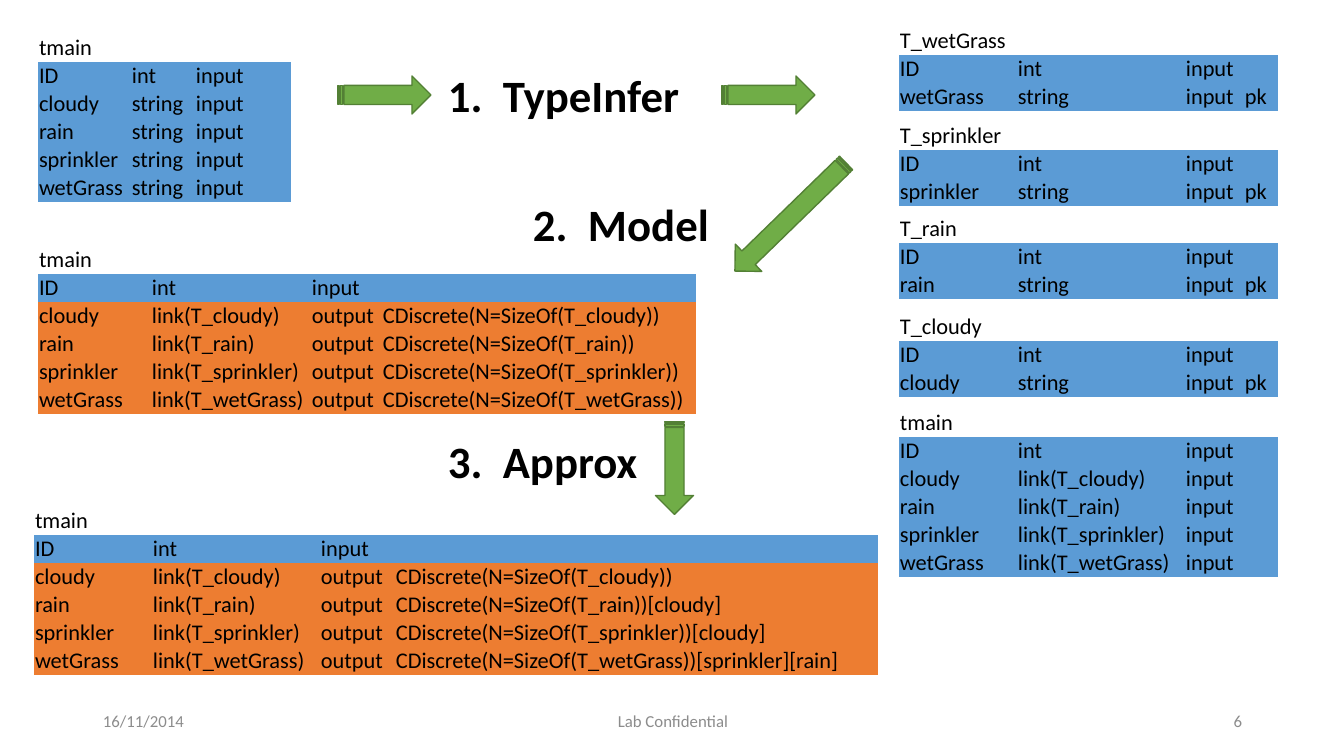
from pptx import Presentation
from pptx import util as u
from pptx.dml.color import RGBColor
from pptx.enum import shapes, text
from pptx.oxml.ns import qn
from lxml import etree

HUES = {"blue": "5B9BD5", "orange": "ED7D31", "green": "70AD47",
        "edge": "538035", "ink": "000000", "gray": "8C8C8C"}
FACE = "Calibri"
PLAIN = "{2D5ABB26-0587-4C30-8999-92F81FD0307C}"
ROW = 28
NAMES = ["cloudy", "rain", "sprinkler", "wetGrass"]
HEAD = ["ID", "int", "input"]


def px(n):
    return u.Emu(round(n * 914400 / 100.8))


def hue(name):
    return RGBColor.from_string(HUES[name])


def write(par, words, size, tint="ink", bold=False):
    run = par.add_run()
    run.text = words
    run.font.name = FACE
    run.font.size = u.Pt(size)
    run.font.bold = bold
    run.font.color.rgb = hue(tint)


def fill_cell(cell, words, tint):
    cell.margin_left = cell.margin_right = px(1)
    cell.margin_top = cell.margin_bottom = 0
    cell.vertical_anchor = text.MSO_ANCHOR.BOTTOM
    par = cell.text_frame.paragraphs[0]
    if words:
        write(par, words, 16)
    else:
        etree.SubElement(par._p, qn("a:endParaRPr"), sz="400")
    if tint:
        cell.fill.solid()
        cell.fill.fore_color.rgb = hue(tint)
    else:
        cell.fill.background()


def add_grid(slide, left, top, cols, rows):
    highs = [row if isinstance(row, int) else ROW for row in rows]
    frame = slide.shapes.add_table(len(rows), len(cols), px(left), px(top),
                                   px(sum(cols)), px(sum(highs)))
    grid = frame.table
    grid.first_row = grid.horz_banding = False
    grid._tbl.tblPr.find(qn("a:tableStyleId")).text = PLAIN
    for col, wide in zip(grid.columns, cols):
        col.width = px(wide)
    for r, row in enumerate(rows):
        grid.rows[r].height = px(highs[r])
        cells = [] if isinstance(row, int) else row
        tint = None
        if len(cells) > 1:
            tint = "orange" if "output" in cells else "blue"
        for c in range(len(cols)):
            fill_cell(grid.cell(r, c), cells[c] if c < len(cells) else "", tint)


def add_step(slide, box, num, words):
    frame = slide.shapes.add_textbox(*map(px, box)).text_frame
    frame.word_wrap = False
    frame.auto_size = text.MSO_AUTO_SIZE.SHAPE_TO_FIT_TEXT
    par = frame.paragraphs[0]
    write(par, words, 32, bold=True)
    props = par._p.get_or_add_pPr()
    props.set("marL", str(px(55)))
    props.set("indent", str(-px(55)))
    etree.SubElement(props, qn("a:buFont"), typeface="+mj-lt")
    etree.SubElement(props, qn("a:buAutoNum"), type="arabicPeriod", startAt=str(num))


def add_arrow(slide, left, top, wide, turn):
    arrow = slide.shapes.add_shape(shapes.MSO_SHAPE.STRIPED_RIGHT_ARROW,
                                   px(left), px(top), px(wide), px(38))
    arrow.rotation = turn
    arrow.shadow.inherit = False
    arrow.fill.solid()
    arrow.fill.fore_color.rgb = hue("green")
    arrow.line.color.rgb = hue("edge")
    arrow.line.width = u.Pt(1)


def add_foot(slide, left, wide, words, align):
    frame = slide.shapes.add_textbox(px(left), px(701), px(wide), px(40)).text_frame
    frame.word_wrap = True
    frame.vertical_anchor = text.MSO_ANCHOR.MIDDLE
    par = frame.paragraphs[0]
    par.alignment = align
    write(par, words, 12, "gray")


def link_rows(kind, tails):
    return [["tmain"], HEAD] + [
        [name, f"link(T_{name})", kind] + tail for name, tail in zip(NAMES, tails)]


def model_rows(marks):
    return link_rows("output", [[f"CDiscrete(N=SizeOf(T_{name})){mark}"]
                                for name, mark in zip(NAMES, marks)])


def typed_rows():
    rows = []
    for name, gap in zip(reversed(NAMES), [11, 9, 14, 12]):
        rows += [[f"T_{name}"], HEAD, [name, "string", "input", "pk"], gap]
    return rows + link_rows("input", [[]] * len(NAMES))


def add_flow(slide):
    source = [["tmain"], HEAD] + [[name, "string", "input"] for name in NAMES]
    add_grid(slide, 38, 34, [93, 64, 56, 40], source)
    add_grid(slide, 899, 27, [118, 168, 59, 34], typed_rows())
    add_grid(slide, 38, 246, [113, 160, 71, 314], model_rows([""] * len(NAMES)))
    add_grid(slide, 34, 507, [118, 168, 75, 483],
             model_rows(["", "[cloudy]", "[cloudy]", "[sprinkler][rain]"]))
    add_step(slide, (438, 63, 255, 64), 1, "TypeInfer")
    add_step(slide, (523, 192, 198, 64), 2, "Model")
    add_step(slide, (438, 429, 212, 64), 3, "Approx")
    for spot in [(338, 76, 93, 0), (722, 76, 93, 0),
                 (713, 198, 155, 135.8), (628, 449, 93, 90)]:
        add_arrow(slide, *spot)


def main():
    deck = Presentation()
    deck.slide_width, deck.slide_height = px(1344), px(756)
    slide = deck.slides.add_slide(deck.slide_layouts[6])
    add_flow(slide)
    add_foot(slide, 93, 302, "16/11/2014", text.PP_ALIGN.LEFT)
    add_foot(slide, 446, 454, "Lab Confidential", text.PP_ALIGN.CENTER)
    add_foot(slide, 950, 302, "6", text.PP_ALIGN.RIGHT)
    deck.save("out.pptx")


if __name__ == "__main__":
    main()
